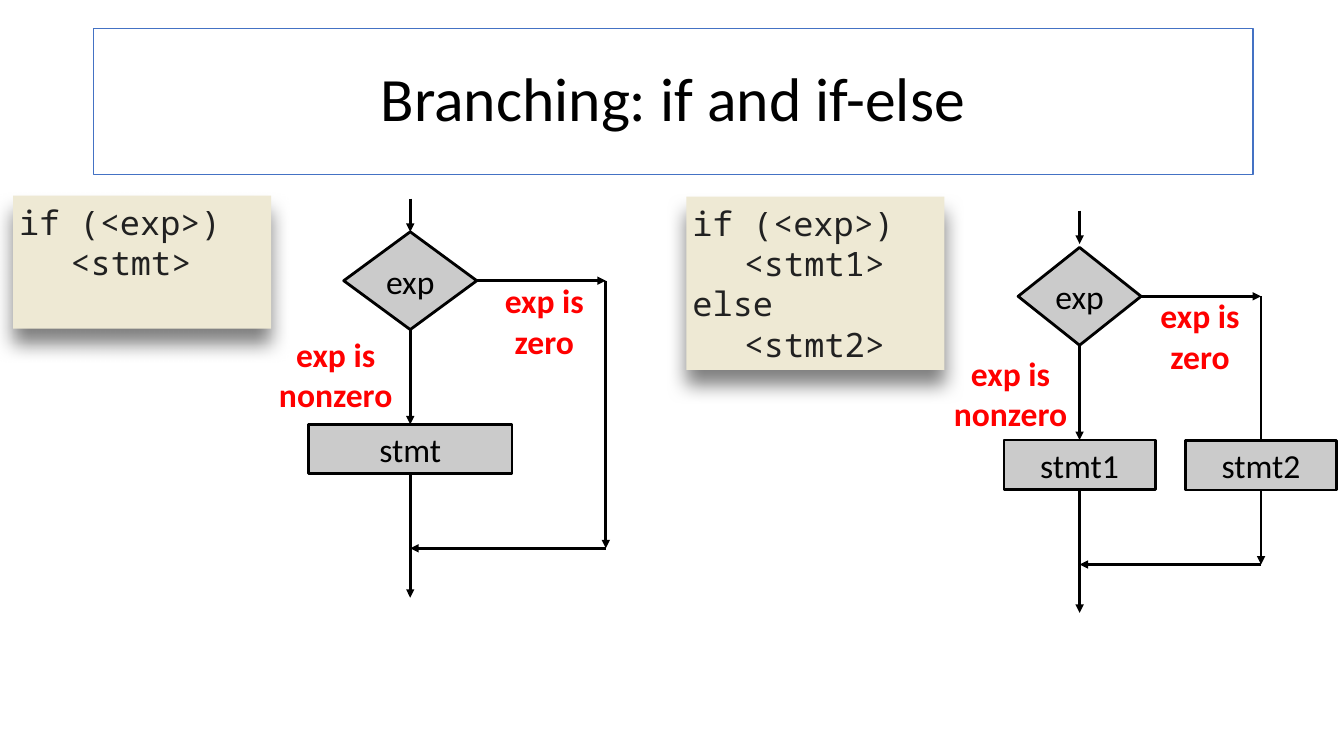
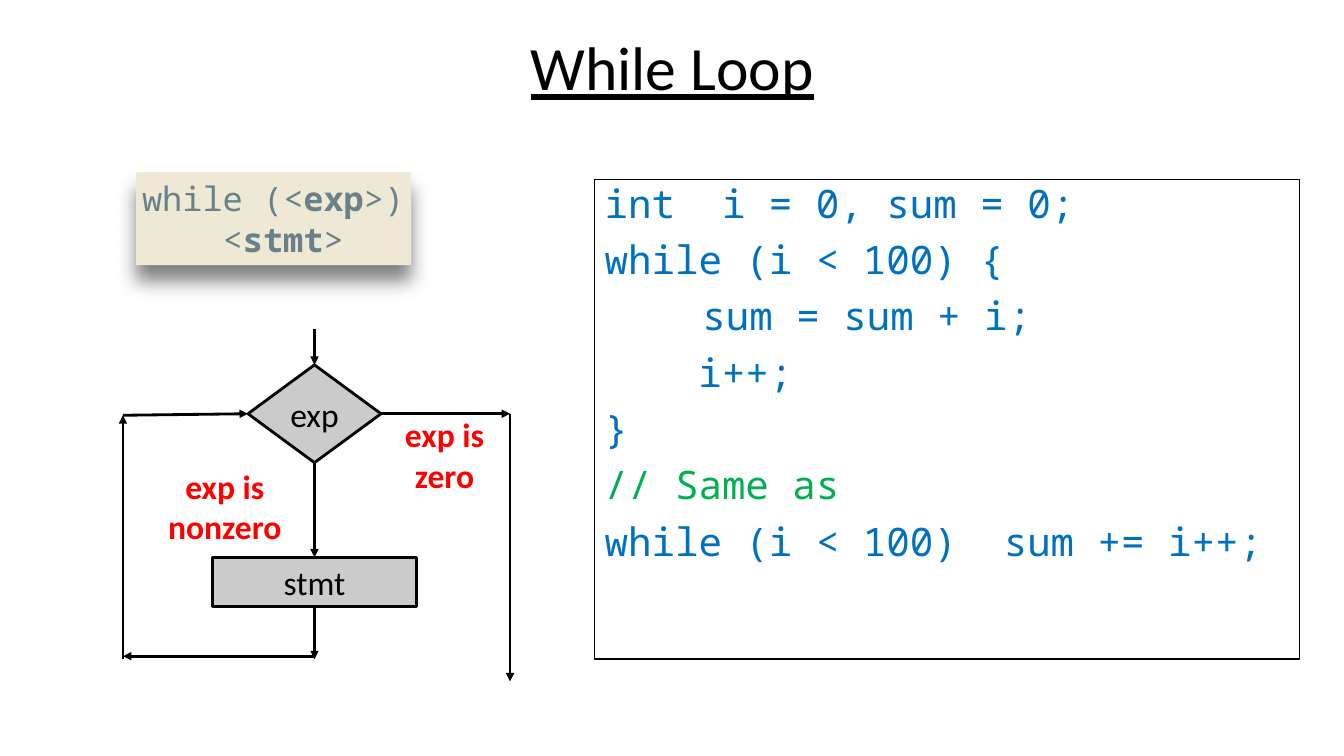
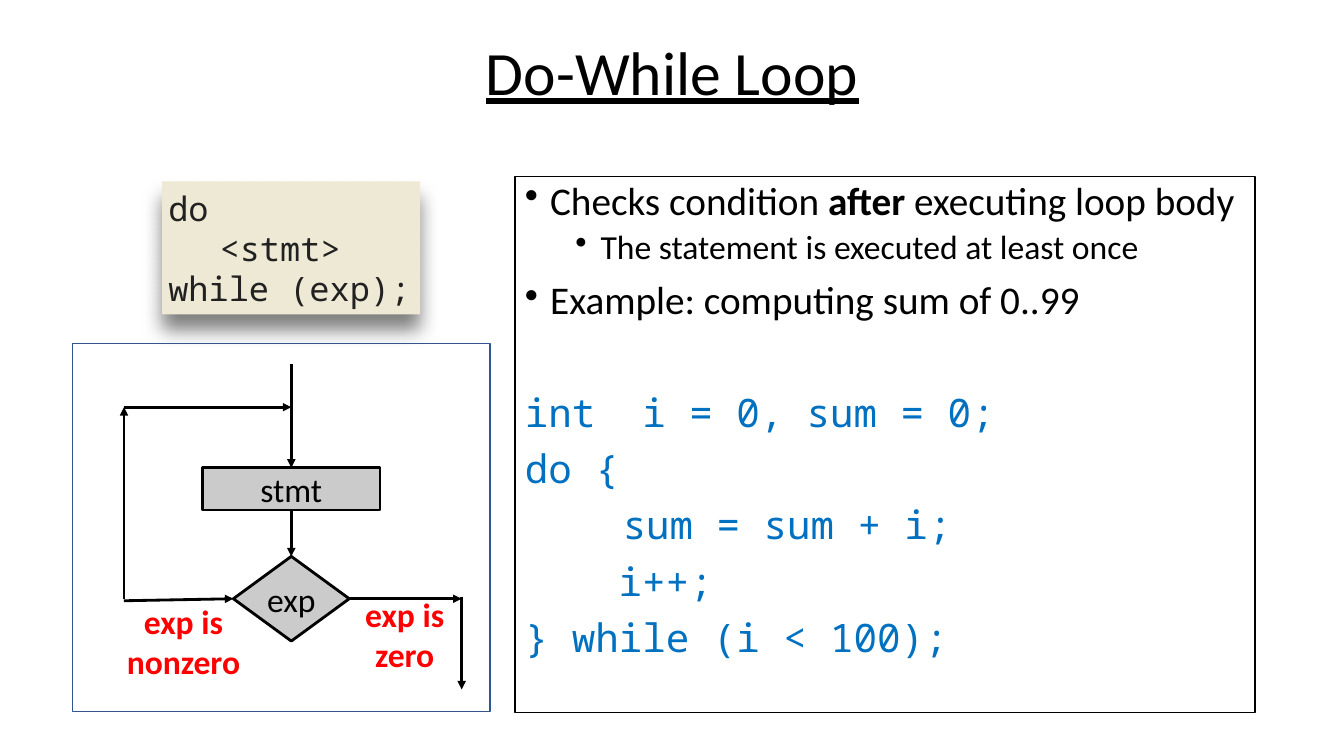
"""Builds three slides that explain branching and loops with flowcharts and code."""
import dataclasses

import pptx
import pptx.dml.color
import pptx.enum.shapes
import pptx.enum.text
import pptx.oxml
import pptx.oxml.ns
import pptx.util

RGB = pptx.dml.color.RGBColor
SHAPE = pptx.enum.shapes.MSO_SHAPE
ALIGN = pptx.enum.text.PP_ALIGN
ANCHOR = pptx.enum.text.MSO_ANCHOR
Pt = pptx.util.Pt

BLACK = RGB(0x00, 0x00, 0x00)
WHITE = RGB(0xFF, 0xFF, 0xFF)
GREY = RGB(0xCB, 0xCB, 0xCB)
RED = RGB(0xFF, 0x00, 0x00)
CREAM = RGB(0xEE, 0xE9, 0xD4)
INK = RGB(0x21, 0x21, 0x21)
SLATE = RGB(0x6A, 0x81, 0x88)
BLUE = RGB(0x00, 0x70, 0xC0)
GREEN = RGB(0x00, 0xB0, 0x50)
TITLE_EDGE = RGB(0x44, 0x72, 0xC4)
FRAME_EDGE = RGB(0x32, 0x54, 0x91)

SANS, MONO = "Calibri", "Noto Sans Mono"
CELL = pptx.util.Inches(0.1)
COLUMNS, ROWS = 133.33, 75
TOP, LEFT, BOTTOM, RIGHT = range(4)


@dataclasses.dataclass
class Line:
    text: str
    font: str = MONO
    size: float = 28
    color: RGB = BLUE
    indent: float = 0
    bullet: bool = False
    before: float = 10


def grid(*cells):
    return [round(c * CELL) for c in cells]


class Deck:
    """Holds the shared style and the current slide, in cells of a grid."""

    def __init__(self):
        self.prs = pptx.Presentation()
        self.prs.slide_width, self.prs.slide_height = grid(COLUMNS, ROWS)
        self.s = None

    def slide(self, title, top, height=14.5, underline=True):
        self.s = self.prs.slides.add_slide(self.prs.slide_layouts[5])
        sp = self.s.shapes.title
        sp.left, sp.top, sp.width, sp.height = grid(9.2, top, 115, height)
        tf = sp.text_frame
        tf.vertical_anchor = ANCHOR.MIDDLE
        self.put_text(tf, [Line(title, SANS, 44, BLACK, before=0)], ALIGN.CENTER, 0.9)
        tf.paragraphs[0].runs[0].font.underline = underline
        return sp

    def paint(self, sp, fill=None, edge=None, width=1):
        if fill is None:
            sp.fill.background()
        else:
            sp.fill.solid()
            sp.fill.fore_color.rgb = fill
        if edge is None:
            sp.line.fill.background()
        else:
            sp.line.color.rgb = edge
            sp.line.width = Pt(width)

    def put_text(self, tf, lines, align=ALIGN.LEFT, spacing=1.0, bold=False):
        for i, line in enumerate(lines):
            p = tf.paragraphs[0] if i == 0 else tf.add_paragraph()
            p.alignment, p.line_spacing = align, spacing
            p.space_before = Pt(line.before)
            for n, part in enumerate(line.text.split("*")):
                r = p.add_run()
                r.text = part
                r.font.name, r.font.size = line.font, Pt(line.size)
                r.font.color.rgb = line.color
                r.font.bold = bold or n % 2 == 1
            if line.indent:
                pPr = p._p.get_or_add_pPr()
                pPr.set("marL", str(grid(line.indent)[0]))
                if line.bullet:
                    pPr.set("indent", str(grid(-2.5)[0]))
                    bu = pptx.oxml.parse_xml(
                        f'<a:buChar {pptx.oxml.ns.nsdecls("a")} char="•"/>')
                    pPr.append(bu)

    def inset(self, tf, margin, anchor=ANCHOR.MIDDLE):
        tf.margin_left = tf.margin_right = tf.margin_top = tf.margin_bottom = grid(margin)[0]
        tf.vertical_anchor = anchor

    def box(self, *place, kind=SHAPE.RECTANGLE, fill=None, edge=None, width=1):
        sp = self.s.shapes.add_shape(kind, *grid(*place))
        sp.shadow.inherit = False
        self.paint(sp, fill, edge, width)
        return sp

    def syntax(self, *place, lines, color=INK, wrap=True):
        sp = self.box(*place, fill=CREAM)
        effects = sp._element.spPr.find(pptx.oxml.ns.qn("a:effectLst"))
        effects.append(pptx.oxml.parse_xml(
            f'<a:outerShdw {pptx.oxml.ns.nsdecls("a")} blurRad="{Pt(14)}" dist="{Pt(11)}" '
            'dir="5400000" algn="t" rotWithShape="0"><a:srgbClr val="000000">'
            '<a:alpha val="50000"/></a:srgbClr></a:outerShdw>'))
        tf = sp.text_frame
        tf.word_wrap = wrap
        self.inset(tf, 0.6, ANCHOR.TOP)
        self.put_text(tf, [Line(text, MONO, 24, color, indent, before=0)
                           for text, indent in lines])

    def panel(self, *place, lines):
        sp = self.s.shapes.add_textbox(*grid(*place))
        self.paint(sp, WHITE, BLACK)
        sp.text_frame.word_wrap = True
        self.put_text(sp.text_frame, lines, spacing=0.9)

    def node(self, text, kind, cx, cy, w, h):
        sp = self.box(cx - w / 2, cy - h / 2, w, h, kind=kind,
                      fill=GREY, edge=BLACK, width=2)
        tf = sp.text_frame
        tf.word_wrap = False
        self.inset(tf, 0.4)
        self.put_text(tf, [Line(text, SANS, 24, BLACK, before=0)], ALIGN.CENTER)
        return sp

    def decision(self, cx, cy, w, h=9.7):
        return self.node("exp", SHAPE.FLOWCHART_DECISION, cx, cy, w, h)

    def process(self, text, cx, cy, w, h=4.9):
        return self.node(text, SHAPE.FLOWCHART_PROCESS, cx, cy, w, h)

    def label(self, text, *place):
        tf = self.s.shapes.add_textbox(*grid(*place)).text_frame
        tf.word_wrap = True
        self.inset(tf, 0.6)
        self.put_text(tf, [Line(text, SANS, 24, RED, before=0)], ALIGN.CENTER, bold=True)

    def labels(self, nonzero, zero, height=9.2):
        self.label("exp is nonzero", *nonzero, height)
        self.label("exp is zero", *zero, height)

    def arrow(self, start, end):
        """Draws an arrow between ends given as (column, row) or (shape, side)."""
        points = [grid(*e) if isinstance(e[0], (int, float)) else (0, 0)
                  for e in (start, end)]
        c = self.s.shapes.add_connector(
            pptx.enum.shapes.MSO_CONNECTOR.STRAIGHT, *points[0], *points[1])
        for e, join in ((start, c.begin_connect), (end, c.end_connect)):
            if not isinstance(e[0], (int, float)):
                join(*e)
        c.line.color.rgb = BLACK
        c.line.width = Pt(2)
        ns = pptx.oxml.ns.nsdecls("a")
        spPr = c._element.spPr
        spPr.get_or_add_ln().append(
            pptx.oxml.parse_xml(f'<a:tailEnd {ns} type="triangle"/>'))
        spPr.append(pptx.oxml.parse_xml(f"<a:effectLst {ns}/>"))

    def route(self, *points):
        for start, end in zip(points, points[1:]):
            self.arrow(start, end)

    def test(self, stmt, cx, cy, dw, pw, side, foot, drop=16.7):
        """Draws a decision over a process, with a side way down to foot."""
        exp = self.decision(cx, cy, dw)
        body = self.process(stmt, cx, cy + drop, pw)
        self.arrow((exp, BOTTOM), (body, TOP))
        self.route((exp, RIGHT), (side, cy), (side, foot))
        return exp, body

    def branch(self, stmt, cx, cy, dw, pw, side, foot, end):
        """Draws a test whose side way joins the main line again."""
        exp, body = self.test(stmt, cx, cy, dw, pw, side, foot)
        self.arrow((body, BOTTOM), (cx, end))
        self.arrow((side, foot), (cx, foot))
        return exp


def branching(d):
    sp = d.slide("Branching: if and if-else", 2.8, underline=False)
    sp.left = grid(9.3)[0]
    d.paint(sp, WHITE, TITLE_EDGE)
    d.syntax(68.1, 19.5, 25.6, 17.2, lines=[
        ("if (<exp>)", 0), ("<stmt1>", 5.1), ("else", 0), ("<stmt2>", 5.1)])
    d.syntax(1.3, 19.4, 25.6, 13.2, lines=[("if (<exp>)", 0), ("<stmt>", 5.1)])

    exp = d.branch("stmt", 40.7, 27.85, 13.2, 20.2, 60.1, 54.4, 59.3)
    d.arrow((40.7, 19.7), (exp, TOP))
    d.labels((23.2, 32.5, 20.2), (46.7, 27.2, 14.6))

    d.branch("stmt1", 107.1, 29.4, 12.2, 15, 125.1, 56, 60.8)
    d.arrow((107.1, 20.9), (107.1, 24.2))
    d.process("stmt2", 125.1, 46.15, 15)
    d.labels((90.9, 34.4, 18.7), (112.3, 28.7, 13.5))


def while_loop(d):
    d.slide("While Loop", 0, 14.1)
    d.panel(59, 17.8, 69.9, 47.6, lines=[
        Line("int  i = 0, sum = 0;"),
        Line("while (i < 100) {"),
        Line("sum = sum + i;", indent=9.7),
        Line("i++;", indent=9.3),
        Line("}"),
        Line("// Same as", color=GREEN),
        Line("while (i < 100)  sum += i++;")])
    d.syntax(13.5, 17.1, 27.3, 9.2, color=SLATE, wrap=False, lines=[
        ("while (<*exp*>)", 0), ("<*stmt*>", 8)])

    exp, body = d.test("stmt", 31.2, 41.05, 13.2, 20.2, 50.6, 67.6)
    d.arrow((31.2, 32.6), (exp, TOP))
    d.arrow((body, BOTTOM), (31.2, 65.4))
    d.arrow((31.2, 65.1), (12.2, 65.1))
    d.route((12.2, 65.4), (12.2, 41.2), (exp, LEFT))
    d.labels((12.2, 45.6, 20.2), (36.8, 40.5, 14.6))


def do_while_loop(d):
    d.slide("Do-While Loop", 0.2)
    d.panel(51.1, 17.5, 73.4, 53.2, lines=[
        Line("Checks condition *after* executing loop body", SANS, 28, BLACK, 2.5, True),
        Line("The statement is executed at least once", SANS, 24, BLACK, 7.5, True, 5),
        Line("Example: computing sum of 0..99", SANS, 28, BLACK, 2.5, True),
        Line("int  i = 0, sum = 0;", before=50),
        Line("do {"),
        Line("sum = sum + i;", indent=9.7),
        Line("i++;", indent=9.3),
        Line("} while (i < 100);")])
    d.syntax(16.1, 18, 25.6, 13.2, lines=[
        ("do", 0), ("<stmt>", 5.1), ("while (exp);", 0)])

    exp = d.decision(28.9, 59.4, 11.5, 8.4)
    body = d.process("stmt", 28.9, 48.5, 17.6, 4.2)
    d.arrow((28.9, 36.1), (body, TOP))
    d.arrow((body, BOTTOM), (exp, TOP))
    d.arrow((exp, RIGHT), (45.8, 59.4))
    d.arrow((45.8, 59.2), (45.8, 68.4))
    d.route((12.3, 59.4), (12.3, 40.4), (28.9, 40.4))
    d.arrow((12.3, 59.6), (exp, LEFT))
    d.labels((9.4, 59.6, 17.6), (33.8, 58.9, 12.7), 8)
    d.box(7.2, 34.1, 41.4, 36.5, edge=FRAME_EDGE)


def main():
    d = Deck()
    for build in (branching, while_loop, do_while_loop):
        build(d)
    d.prs.save("out.pptx")


if __name__ == "__main__":
    main()
